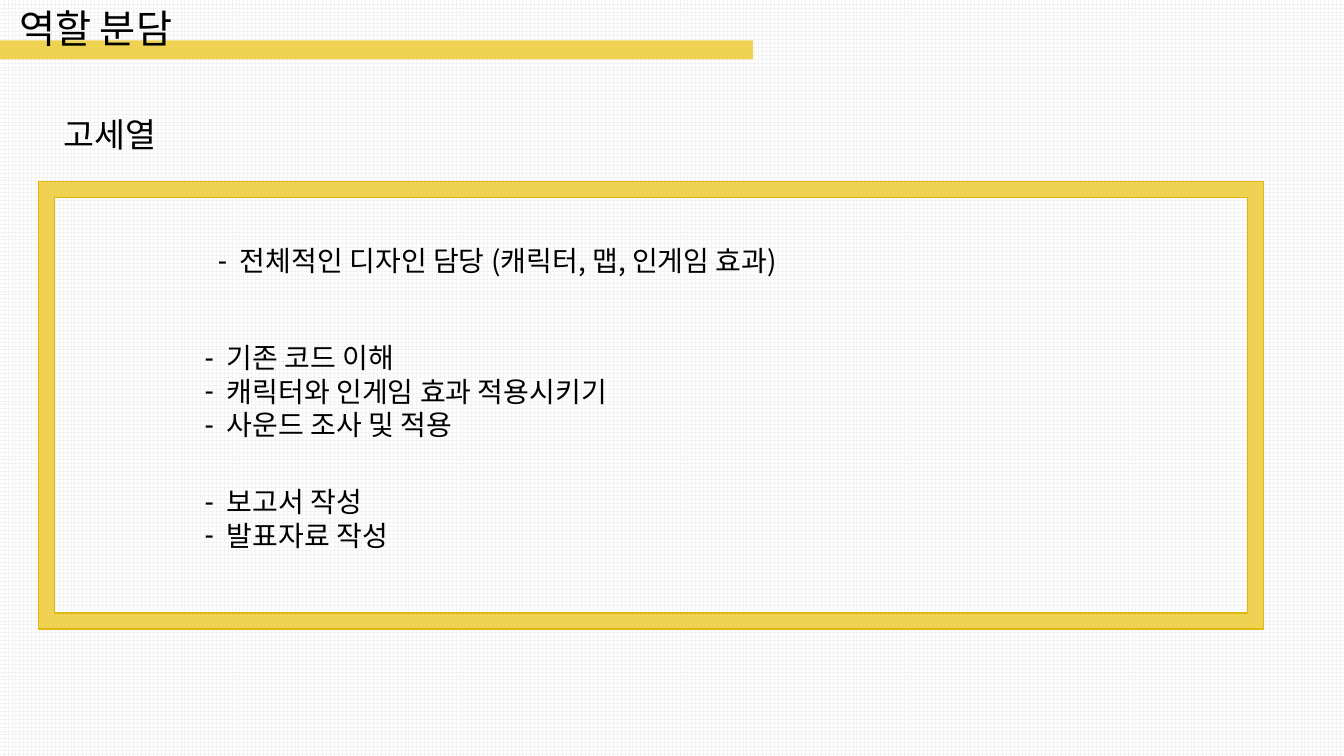
import pptx
import pptx.util
import pptx.dml.color
import pptx.enum.dml
import pptx.enum.shapes
import pptx.enum.text
import pptx.oxml.ns
from lxml import etree

Inches, Pt = pptx.util.Inches, pptx.util.Pt
SHAPE = pptx.enum.shapes.MSO_SHAPE

FONT = "Noto Sans CJK KR"
COLORS = {"gold": "F0D252", "edge": "DFB813", "text": "000000",
          "grid": "F2F2F2", "paper": "FFFFFF"}
WIDE = 7.85
INDENT = 0.22

# placeholder index: (left, top, height, size, bulleted, lines)
TEXTS = {
    0: (0.09, -0.01, 0.57, 28, False, ["역할 분담"]),
    1: (0.53, 1.08, 0.5, 24, False, ["고세열"]),
    2: (2.06, 2.37, 0.44, 20, True,
        ["전체적인 디자인 담당 (캐릭터, 맵, 인게임 효과)"]),
    3: (1.93, 3.33, 1.11, 20, True,
        ["기존 코드 이해", "캐릭터와 인게임 효과 적용시키기", "사운드 조사 및 적용"]),
    4: (1.93, 4.76, 0.77, 20, True, ["보고서 작성", "발표자료 작성"]),
}
BAR = (0, 0.4, 7.47, 0.19)
FRAME = (0.38, 1.8, 12.15, 4.44)


def color(name):
    return pptx.dml.color.RGBColor.from_string(COLORS[name])


def add(slide, kind, box):
    shape = slide.shapes.add_shape(kind, *map(Inches, box))
    shape.shadow.inherit = False
    shape.fill.solid()
    shape.fill.fore_color.rgb = color("gold")
    return shape


def mark(para, dash):
    """Give the paragraph a hanging dash, or no bullet at all."""
    props = para._p.get_or_add_pPr()
    gap = Inches(INDENT) if dash else 0
    props.set("marL", str(gap))
    props.set("indent", str(-gap))
    tag = pptx.oxml.ns.qn("a:buChar" if dash else "a:buNone")
    bullet = etree.SubElement(props, tag)
    if dash:
        bullet.set("char", "-")


def write(holder, left, top, height, size, dash, lines):
    holder.left, holder.top = Inches(left), Inches(top)
    holder.width, holder.height = Inches(WIDE), Inches(height)
    frame = holder.text_frame
    frame.text = "\n".join(lines)
    frame.word_wrap = True
    frame.auto_size = pptx.enum.text.MSO_AUTO_SIZE.NONE
    frame.vertical_anchor = pptx.enum.text.MSO_ANCHOR.TOP
    for para in frame.paragraphs:
        para.alignment = pptx.enum.text.PP_ALIGN.LEFT
        para.line_spacing = 1.0
        para.space_before = para.space_after = Pt(0)
        mark(para, dash)
        font = para.font
        font.name, font.size, font.bold = FONT, Pt(size), False
        font.color.rgb = color("text")
        east = etree.SubElement(font._element, pptx.oxml.ns.qn("a:ea"))
        east.set("typeface", FONT)
        font._element.find(pptx.oxml.ns.qn("a:latin")).addnext(east)


def main():
    deck = pptx.Presentation()
    deck.slide_width, deck.slide_height = Inches(13.33), Inches(7.5)
    slide = deck.slides.add_slide(deck.slide_layouts.get_by_name("Comparison"))

    back = slide.background.fill
    back.patterned()
    back.pattern = pptx.enum.dml.MSO_PATTERN.LARGE_GRID
    back.fore_color.rgb = color("grid")
    back.back_color.rgb = color("paper")

    for holder in slide.placeholders:
        write(holder, *TEXTS[holder.placeholder_format.idx])

    bar = add(slide, SHAPE.RECTANGLE, BAR)
    bar.line.fill.background()
    slide.shapes.title._element.addprevious(bar._element)

    frame = add(slide, SHAPE.FRAME, FRAME)
    frame.adjustments[0] = 0.036
    frame.line.color.rgb = color("edge")
    frame.line.width = Pt(1)

    deck.save("out.pptx")


if __name__ == "__main__":
    main()
